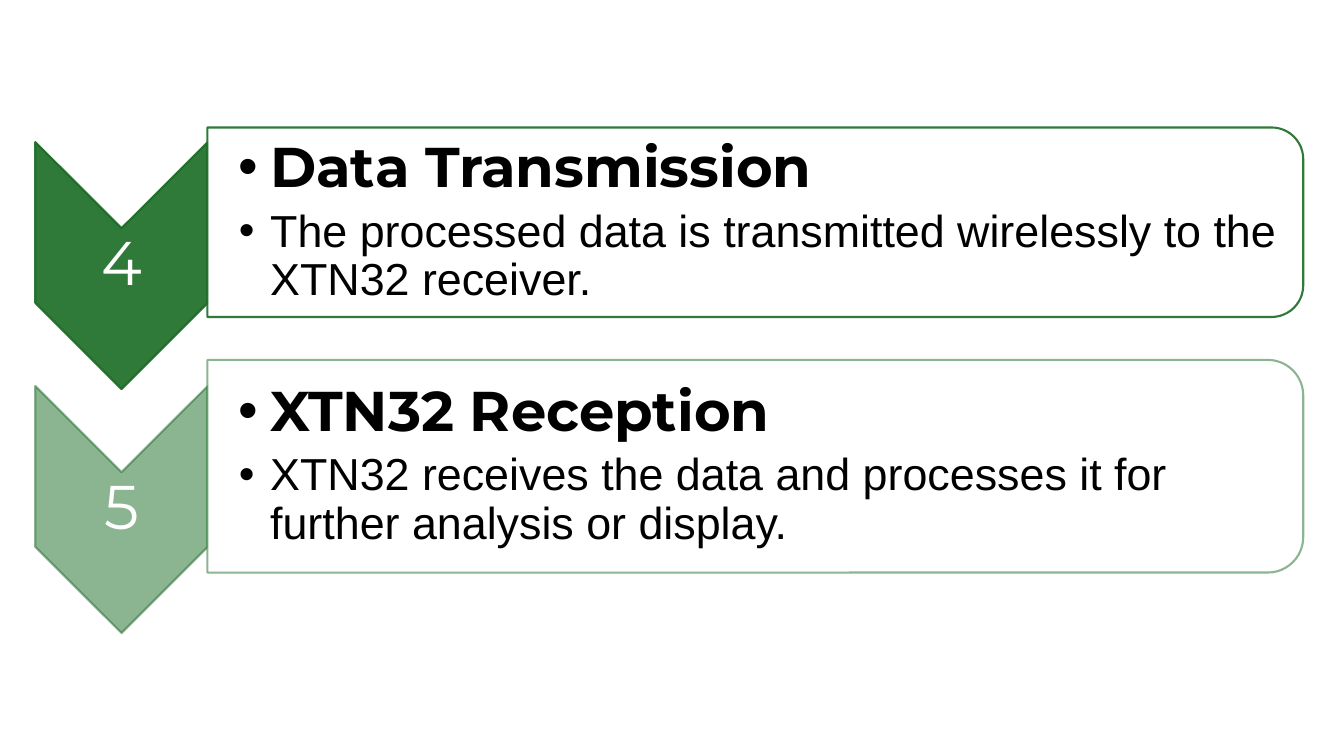
import pptx
import pptx.dml.color
import pptx.enum.shapes
import pptx.enum.text
import pptx.oxml.ns
import pptx.oxml.xmlchemy
import pptx.util

SHAPES = pptx.enum.shapes.MSO_SHAPE
ALIGN = pptx.enum.text.PP_ALIGN


def color(hex_value):
    return pptx.dml.color.RGBColor.from_string(hex_value)


def append_element(parent, tag, **attributes):
    element = pptx.oxml.xmlchemy.OxmlElement(tag)
    for name, value in attributes.items():
        element.set(name, str(value))
    parent.append(element)
    return element


class StepSlide:
    green = "196B24"
    white = "FFFFFF"
    black = "000000"
    heading_font = "Montserrat"
    body_font = "Arial"
    inset = pptx.util.Inches(0.03)
    indent = pptx.util.Inches(0.31)

    def __init__(self, presentation):
        self.slide = presentation.slides.add_slide(presentation.slide_layouts[6])
        self.column = presentation.slide_width / 100
        self.row = presentation.slide_height / 100

    def box(self, center_x, center_y, width, height):
        return (
            int((center_x - width / 2) * self.column),
            int((center_y - height / 2) * self.row),
            int(width * self.column),
            int(height * self.row),
        )

    def turned_shape(self, kind, bounds, fill, fill_alpha, line_alpha):
        left, top, width, height = self.box(*bounds)
        shift = (width - height) // 2
        shape = self.slide.shapes.add_shape(kind, left + shift, top - shift, height, width)
        shape.rotation = 90
        shape.shadow.inherit = False
        shape.fill.solid()
        shape.fill.fore_color.rgb = color(fill)
        shape.line.color.rgb = color(self.green)
        shape.line.width = pptx.util.Pt(1.5)
        tones = shape._element.spPr.iter(pptx.oxml.ns.qn("a:srgbClr"))
        for tone, alpha in zip(tones, (fill_alpha, line_alpha)):
            append_element(tone, "a:alpha", val=alpha * 1000)

    def text(self, bounds, lines, left_inset):
        frame = self.slide.shapes.add_textbox(*self.box(*bounds)).text_frame
        frame.word_wrap = True
        frame.vertical_anchor = pptx.enum.text.MSO_ANCHOR.MIDDLE
        frame.margin_top = frame.margin_right = frame.margin_bottom = self.inset
        frame.margin_left = left_inset
        frame.text = "\n".join(lines)
        return frame.paragraphs

    def format_paragraph(self, paragraph, space_after, font, size, hex_value, bold=False):
        paragraph.line_spacing = 0.9
        spacing = append_element(paragraph._p.get_or_add_pPr(), "a:spcAft")
        append_element(spacing, "a:spcPct", val=space_after * 1000)
        for run in paragraph.runs:
            run.font.name = font
            run.font.size = pptx.util.Pt(size)
            run.font.bold = bold
            run.font.color.rgb = color(hex_value)

    def number(self, bounds, value):
        paragraph = self.text(bounds, [value], self.inset)[0]
        paragraph.alignment = ALIGN.CENTER
        self.format_paragraph(paragraph, 35, self.heading_font, 44, self.white)

    def bullets(self, bounds, heading, body):
        styles = ((self.heading_font, 40, True), (self.body_font, 32, False))
        paragraphs = self.text(bounds, [heading, body], self.indent)
        for paragraph, (font, size, bold) in zip(paragraphs, styles):
            paragraph.level = 1
            self.format_paragraph(paragraph, 15, font, size, self.black, bold)
            properties = paragraph._p.get_or_add_pPr()
            properties.set("marL", str(self.indent))
            properties.set("indent", str(-self.indent))
            append_element(properties, "a:buFont", typeface=self.body_font)
            append_element(properties, "a:buChar", char="•")

    def step(self, index, value, heading, body, panel_height, alpha):
        offset = index * 32.27
        chevron_y = 35.13 + offset
        panel_y = 29.4 + offset
        self.turned_shape(SHAPES.CHEVRON, (9.04, chevron_y, 12.83, 32.67), self.green, alpha, alpha)
        self.number((9.04, chevron_y, 12.83, 9.73), value)
        self.turned_shape(
            SHAPES.ROUND_2_SAME_RECTANGLE, (56.2, panel_y, 81.53, panel_height), self.white, 90, alpha
        )
        self.bullets((55.88, panel_y, 80.85, panel_height - 2.6), heading, body)


def main():
    presentation = pptx.Presentation()
    presentation.slide_width = pptx.util.Inches(13.33)
    presentation.slide_height = pptx.util.Inches(7.5)
    slide = StepSlide(presentation)
    steps = (
        ("4", "Data Transmission",
         "The processed data is transmitted wirelessly to the XTN32 receiver.", 25.07, 90),
        ("5", "XTN32 Reception",
         "XTN32 receives the data and processes it for further analysis or display.", 28.13, 50),
    )
    for index, step in enumerate(steps):
        slide.step(index, *step)
    presentation.save("out.pptx")


if __name__ == "__main__":
    main()
